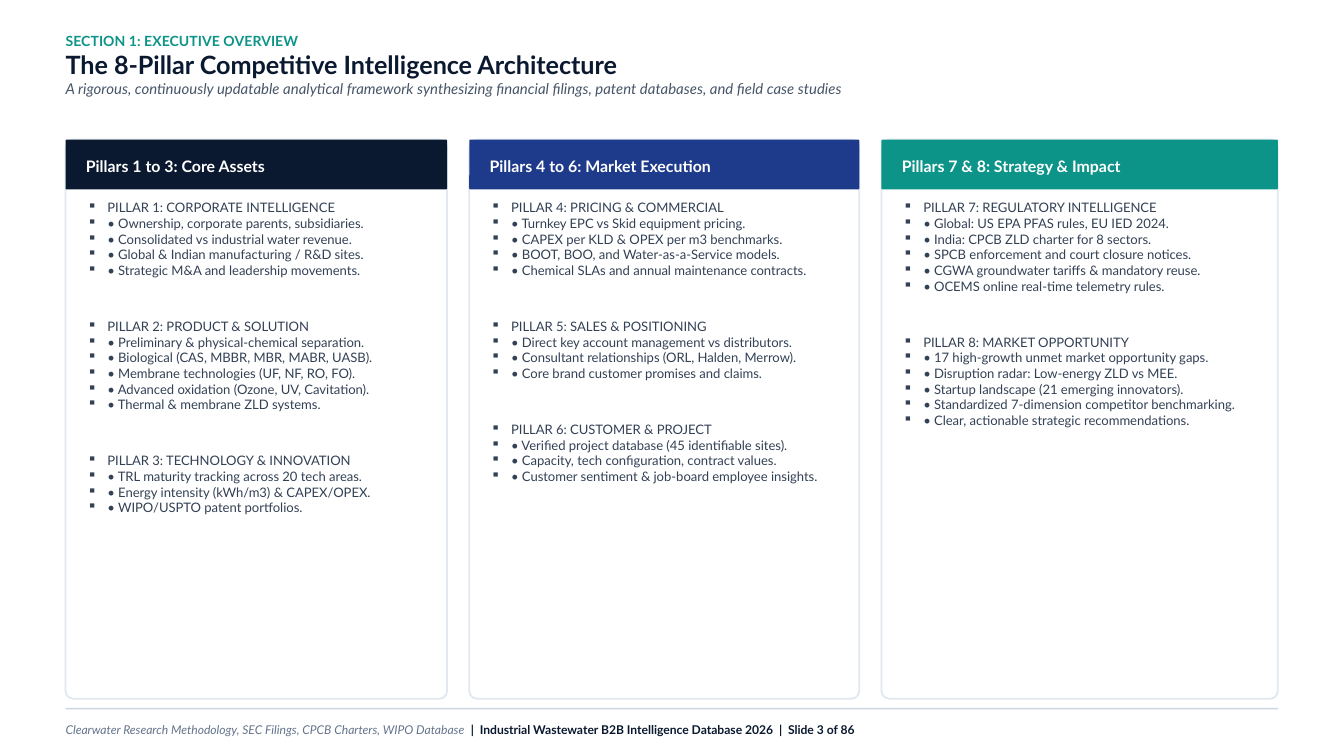
import pptx
import pptx.dml.color
import pptx.enum.shapes
import pptx.enum.text
import pptx.oxml.ns
import pptx.util
from lxml import etree
from pptx.util import Cm, Pt

RGBColor = pptx.dml.color.RGBColor
MSO_SHAPE = pptx.enum.shapes.MSO_SHAPE
ANCHOR = pptx.enum.text.MSO_ANCHOR
ALIGN = pptx.enum.text.PP_ALIGN

NAVY = RGBColor(0x0A, 0x19, 0x2F)
BLUE = RGBColor(0x1E, 0x3A, 0x8A)
TEAL = RGBColor(0x0D, 0x94, 0x88)
WHITE = RGBColor(0xFF, 0xFF, 0xFF)
BORDER = RGBColor(0xE2, 0xE8, 0xF0)
RULE = RGBColor(0xCB, 0xD5, 0xE1)
BODY = RGBColor(0x33, 0x41, 0x55)
SUBTITLE = RGBColor(0x47, 0x55, 0x69)
SOURCE = RGBColor(0x64, 0x74, 0x8B)

MARGIN, CONTENT_WIDTH = 1.24, 22.91
CARD_TOP, CARD_HEIGHT, CARD_GAP = 2.64, 10.57, 0.42
HEADER_HEIGHT = 0.94

# Each column: heading, colour, width, pillars with their points
COLUMNS = [
    ("Pillars 1 to 3: Core Assets", NAVY, 7.21, [
        ("PILLAR 1: CORPORATE INTELLIGENCE", [
            "Ownership, corporate parents, subsidiaries.",
            "Consolidated vs industrial water revenue.",
            "Global & Indian manufacturing / R&D sites.",
            "Strategic M&A and leadership movements."]),
        ("PILLAR 2: PRODUCT & SOLUTION", [
            "Preliminary & physical-chemical separation.",
            "Biological (CAS, MBBR, MBR, MABR, UASB).",
            "Membrane technologies (UF, NF, RO, FO).",
            "Advanced oxidation (Ozone, UV, Cavitation).",
            "Thermal & membrane ZLD systems."]),
        ("PILLAR 3: TECHNOLOGY & INNOVATION", [
            "TRL maturity tracking across 20 tech areas.",
            "Energy intensity (kWh/m3) & CAPEX/OPEX.",
            "WIPO/USPTO patent portfolios."]),
    ]),
    ("Pillars 4 to 6: Market Execution", BLUE, 7.37, [
        ("PILLAR 4: PRICING & COMMERCIAL", [
            "Turnkey EPC vs Skid equipment pricing.",
            "CAPEX per KLD & OPEX per m3 benchmarks.",
            "BOOT, BOO, and Water-as-a-Service models.",
            "Chemical SLAs and annual maintenance contracts."]),
        ("PILLAR 5: SALES & POSITIONING", [
            "Direct key account management vs distributors.",
            "Consultant relationships (ORL, Halden, Merrow).",
            "Core brand customer promises and claims."]),
        ("PILLAR 6: CUSTOMER & PROJECT", [
            "Verified project database (45 identifiable sites).",
            "Capacity, tech configuration, contract values.",
            "Customer sentiment & job-board employee insights."]),
    ]),
    ("Pillars 7 & 8: Strategy & Impact", TEAL, 7.49, [
        ("PILLAR 7: REGULATORY INTELLIGENCE", [
            "Global: US EPA PFAS rules, EU IED 2024.",
            "India: CPCB ZLD charter for 8 sectors.",
            "SPCB enforcement and court closure notices.",
            "CGWA groundwater tariffs & mandatory reuse.",
            "OCEMS online real-time telemetry rules."]),
        ("PILLAR 8: MARKET OPPORTUNITY", [
            "17 high-growth unmet market opportunity gaps.",
            "Disruption radar: Low-energy ZLD vs MEE.",
            "Startup landscape (21 emerging innovators).",
            "Standardized 7-dimension competitor benchmarking.",
            "Clear, actionable strategic recommendations."]),
    ]),
]


def set_frame(shape, insets, anchor=ANCHOR.TOP):
    frame = shape.text_frame
    frame.word_wrap = True
    frame.auto_size = pptx.enum.text.MSO_AUTO_SIZE.NONE
    frame.vertical_anchor = anchor
    (frame.margin_left, frame.margin_top,
     frame.margin_right, frame.margin_bottom) = [Cm(inset) for inset in insets]
    return frame


def add_run(paragraph, text, size, color, bold=False, italic=False):
    paragraph.alignment = ALIGN.LEFT
    run = paragraph.add_run()
    run.text = text
    run.font.name = "Lato"
    run.font.size = Pt(size)
    run.font.color.rgb = color
    run.font.bold = bold
    run.font.italic = italic


deck = pptx.Presentation()
deck.slide_width, deck.slide_height = Cm(25.4), Cm(14.29)
slide = deck.slides.add_slide(deck.slide_layouts[5])
shapes = slide.shapes

# Section label, title and subtitle
title = shapes.title
title.left, title.top = Cm(MARGIN), Cm(0.61)
title.width, title.height = Cm(CONTENT_WIDTH), Cm(1.73)
title_frame = set_frame(title, (0, 0, 0, 0))
add_run(title_frame.paragraphs[0], "SECTION 1: EXECUTIVE OVERVIEW", 7.5, TEAL, bold=True)
add_run(title_frame.add_paragraph(),
        "The 8-Pillar Competitive Intelligence Architecture", 13.5, NAVY, bold=True)
add_run(title_frame.add_paragraph(),
        "A rigorous, continuously updatable analytical framework synthesizing "
        "financial filings, patent databases, and field case studies",
        8, SUBTITLE, italic=True)

# Pillar columns
left = MARGIN
for heading, accent, width, pillars in COLUMNS:
    card = shapes.add_shape(MSO_SHAPE.ROUNDED_RECTANGLE, Cm(left), Cm(CARD_TOP),
                            Cm(width), Cm(CARD_HEIGHT))
    card.fill.solid()
    card.fill.fore_color.rgb = WHITE
    card.line.color.rgb = BORDER
    card.line.width = Pt(1)

    header = shapes.add_shape(MSO_SHAPE.ROUNDED_RECTANGLE, Cm(left), Cm(CARD_TOP),
                              Cm(width), Cm(HEADER_HEIGHT))
    header.fill.solid()
    header.fill.fore_color.rgb = accent
    header.line.fill.background()
    header_frame = set_frame(header, (0.38, 0.13, 0.38, 0.08), ANCHOR.MIDDLE)
    add_run(header_frame.paragraphs[0], heading, 8.5, WHITE, bold=True)

    for panel in (card, header):
        panel.adjustments[0] = 0.02
        panel.shadow.inherit = False

    pillar_list = shapes.add_textbox(Cm(left + 0.23), Cm(3.68), Cm(width - 0.46), Cm(9.45))
    list_frame = set_frame(pillar_list, (0.18, 0.1, 0.18, 0.1))
    for pillar_index, (pillar, points) in enumerate(pillars):
        for line_index, text in enumerate([pillar] + ["• " + point for point in points]):
            first = pillar_index == 0 and line_index == 0
            paragraph = list_frame.paragraphs[0] if first else list_frame.add_paragraph()
            if pillar_index > 0 and line_index == 0:
                paragraph.space_before = Pt(21.6)
            properties = paragraph._p.get_or_add_pPr()
            properties.set("marL", str(Cm(0.38)))
            properties.set("indent", str(-Cm(0.38)))
            bullet = etree.SubElement(properties, pptx.oxml.ns.qn("a:buChar"))
            bullet.set("char", "▪")
            add_run(paragraph, text, 7, BODY)

    left += width + CARD_GAP

# Footer
footer_rule = shapes.add_shape(MSO_SHAPE.RECTANGLE, Cm(MARGIN), Cm(13.38),
                               Cm(CONTENT_WIDTH), Cm(0.03))
footer_rule.fill.solid()
footer_rule.fill.fore_color.rgb = RULE
footer_rule.line.fill.background()
footer_rule.shadow.inherit = False

footer = shapes.add_textbox(Cm(MARGIN), Cm(13.49), Cm(CONTENT_WIDTH), Cm(0.61))
footer_text = set_frame(footer, (0, 0, 0, 0), ANCHOR.MIDDLE).paragraphs[0]
add_run(footer_text,
        "Clearwater Research Methodology, SEC Filings, CPCB Charters, WIPO Database",
        6.5, SOURCE, italic=True)
add_run(footer_text,
        "  |  Industrial Wastewater B2B Intelligence Database 2026  |  Slide 3 of 86",
        6.5, NAVY, bold=True)

deck.save("out.pptx")
